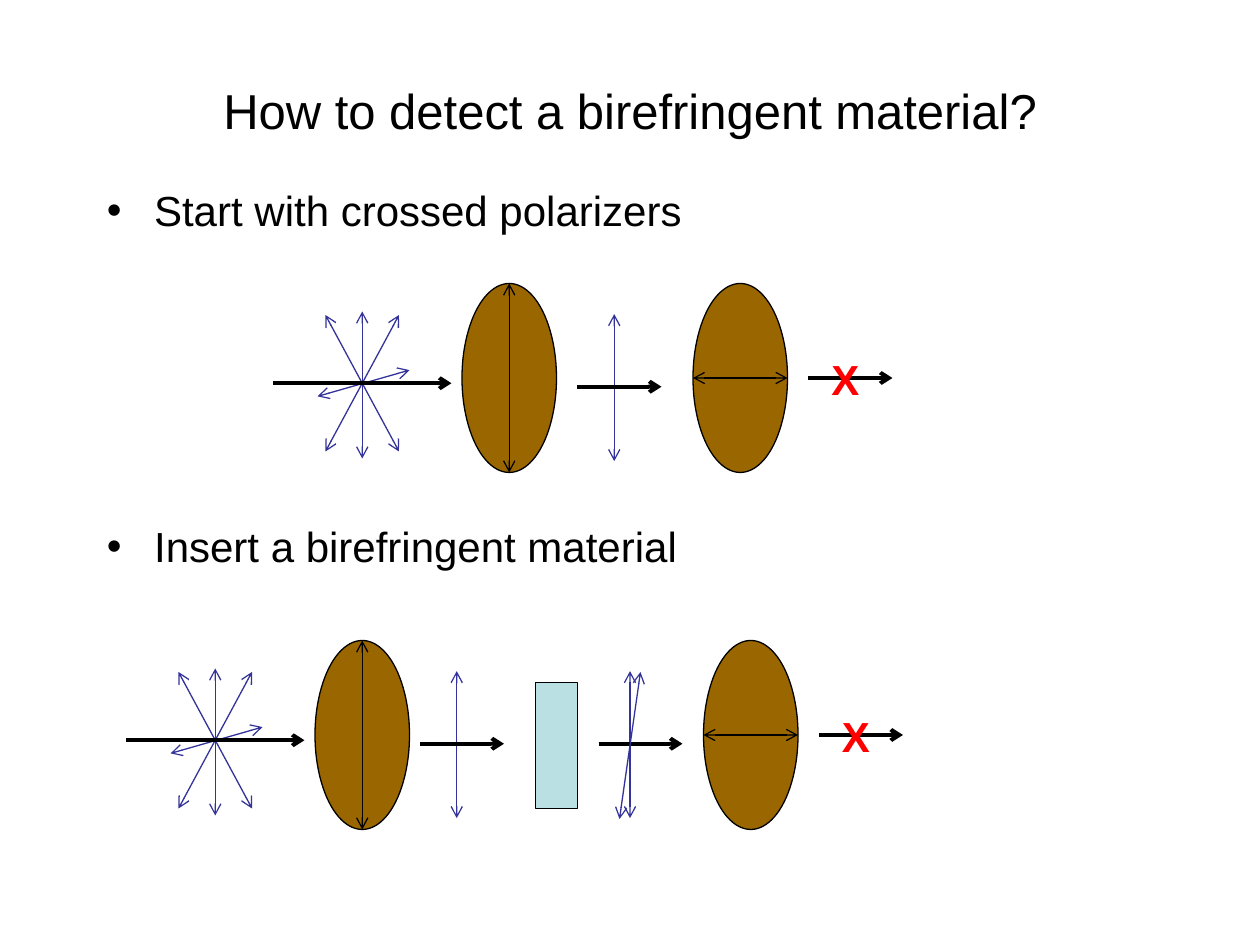
from pptx import Presentation
from pptx.dml.color import RGBColor
from pptx.enum.shapes import MSO_CONNECTOR, MSO_SHAPE
from pptx.enum.text import MSO_ANCHOR, PP_ALIGN
from pptx.oxml.ns import qn
from pptx.util import Pt
from lxml.etree import SubElement

rgb = RGBColor.from_string
BLACK, BLUE, BROWN, RED, TEAL = "000000", "333399", "996600", "FF0000", "BBE0E3"

prs = Presentation()
prs.slide_width, prs.slide_height = Pt(720), Pt(540)
s = prs.slides.add_slide(prs.slide_layouts[6])


def arrow(x1, y1, x2, y2, color=BLACK, width=0.75, ends=("headEnd", "tailEnd")):
    c = s.shapes.add_connector(MSO_CONNECTOR.STRAIGHT, Pt(x1), Pt(y1), Pt(x2), Pt(y2))
    c.line.color.rgb = rgb(color)
    c.line.width = Pt(width)
    ln = c.line._get_or_add_ln()
    for end in ends:
        SubElement(ln, qn("a:" + end), type="arrow")
    SubElement(c._element.spPr, qn("a:effectLst"))


def shape(kind, x, y, w, h, fill):
    sp = s.shapes.add_shape(kind, Pt(x), Pt(y), Pt(w), Pt(h))
    sp.shadow.inherit = False
    sp.fill.solid()
    sp.fill.fore_color.rgb = rgb(fill)
    sp.line.color.rgb = rgb(BLACK)
    sp.line.width = Pt(0.75)


rows = [
    (162, 156, 264, [330], 396, 462),
    (366, 72, 180, [240, 342], 402, 468),
]
for top, source, first, beams, second, out in rows:
    cx = source + 51
    for x1, y1, x2, y2 in [(-21, 18, 21, 96), (0, 16, 0, 100), (21, 18, -21, 96), (-25.5, 64.5, 27, 49.5)]:
        arrow(cx + x1, top + y1, cx + x2, top + y2, BLUE)
    for x in (first, second):
        shape(MSO_SHAPE.OVAL, x, top, 54, 108, BROWN)
    arrow(first + 27, top, first + 27, top + 108)
    arrow(second, top + 54, second + 54, top + 54)
    for x in beams:
        mid = x + (21 if x == beams[0] else 18)
        arrow(mid, top + 17.5, mid, top + 101.5, BLUE)
    for x, y, length in [(source, 57, 102), (out, 54, 48)] + [(b, 59, 48) for b in beams]:
        arrow(x, top + y, x + length, top + y, BLACK, 2.25, ["tailEnd"])

shape(MSO_SHAPE.RECTANGLE, 306, 390, 24, 72, TEAL)
arrow(366, 384, 354, 468, BLUE)

texts = [
    ("How to detect a birefringent material?", 54, 18, 612, 90, 28, BLACK, "title"),
    ("Start with crossed polarizers", 54, 102, 612, 54, 24, BLACK, "bullet"),
    ("Insert a birefringent material", 54, 294, 612, 54, 24, BLACK, "bullet"),
    ("X", 468, 198.7, 31, 36, 24, RED, "mark"),
    ("X", 474, 402.7, 31, 36, 24, RED, "mark"),
]
for text, x, y, w, h, size, color, role in texts:
    tf = s.shapes.add_textbox(Pt(x), Pt(y), Pt(w), Pt(h)).text_frame
    tf.word_wrap = role != "mark"
    p = tf.paragraphs[0]
    if role == "title":
        tf.vertical_anchor = MSO_ANCHOR.MIDDLE
        p.alignment = PP_ALIGN.CENTER
    if role == "bullet":
        pPr = p._p.get_or_add_pPr()
        pPr.set("marL", str(Pt(27)))
        pPr.set("indent", str(Pt(-27)))
        SubElement(pPr, qn("a:buFont"), typeface="Arial")
        SubElement(pPr, qn("a:buChar"), char="•")
    r = p.add_run()
    r.text = text
    r.font.name = "Arial"
    r.font.size = Pt(size)
    r.font.bold = role == "mark"
    r.font.color.rgb = rgb(color)

prs.save("out.pptx")
